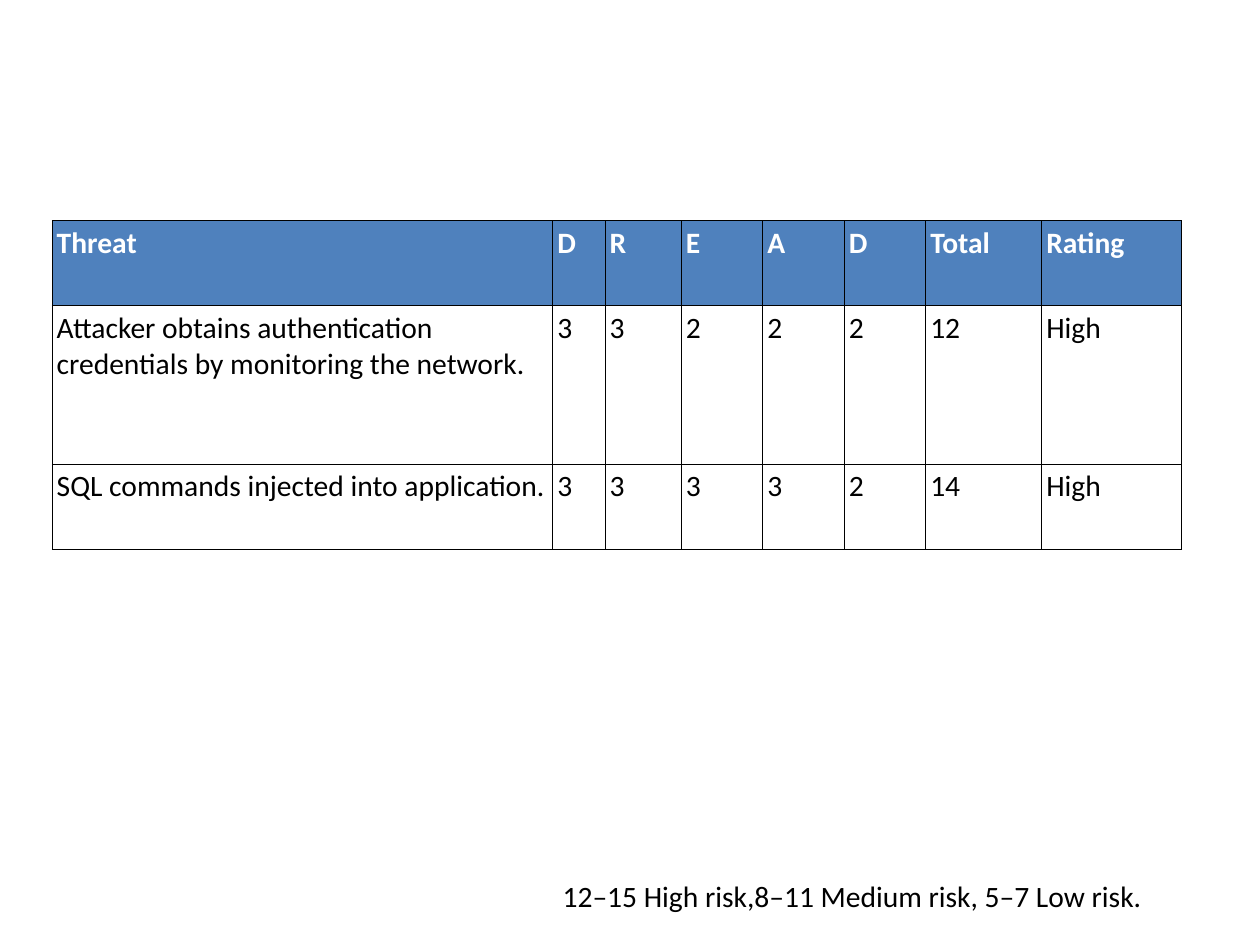
"""Build a slide with a threat rating table and its risk scale."""
from lxml.etree import SubElement
from pptx import Presentation
from pptx.dml.color import RGBColor
from pptx.oxml.ns import qn
from pptx.util import Inches, Pt

THEME = {
    "head": RGBColor.from_string("4F81BD"),
    "light": RGBColor.from_string("FFFFFF"),
    "ink": RGBColor.from_string("000000"),
    "font": {"name": "Calibri", "size": Pt(24)},
    "line": Pt(1),
}
COLS = [5.65, 0.59, 0.86, 0.92, 0.92, 0.92, 1.31, 1.58]
ROWS = [0.96, 1.79, 0.96]
DATA = [
    ["Threat", *"DREAD", "Total", "Rating"],
    ["Attacker obtains authentication credentials by monitoring the network.",
     *"33222", "12", "High"],
    ["SQL commands injected into application.", *"33332", "14", "High"],
]


def write(frame, text, color, bold=False):
    para = frame.paragraphs[0]
    run = para.add_run()
    run.text = text
    for key, value in {**THEME["font"], "bold": bold}.items():
        setattr(run.font, key, value)
    run.font.color.rgb = color


def border(cell):
    props = cell._tc.get_or_add_tcPr()
    for side in "LRTB":
        line = SubElement(props, qn(f"a:ln{side}"), w=str(THEME["line"]))
        fill = SubElement(line, qn("a:solidFill"))
        SubElement(fill, qn("a:srgbClr"), val=str(THEME["ink"]))


deck = Presentation()
deck.slide_width, deck.slide_height = Inches(14.22), Inches(10.67)
slide = deck.slides.add_slide(deck.slide_layouts[6])

table = slide.shapes.add_table(
    len(ROWS), len(COLS), Inches(0.59), Inches(2.49),
    Inches(sum(COLS)), Inches(sum(ROWS))).table
table.horz_banding = False
for col, width in zip(table.columns, COLS):
    col.width = Inches(width)
for row, height in zip(table.rows, ROWS):
    row.height = Inches(height)

sides = ["left", "right", "top", "bottom"]
for r, texts in enumerate(DATA):
    top = r == 0
    for c, text in enumerate(texts):
        cell = table.cell(r, c)
        for side in sides:
            setattr(cell, f"margin_{side}", Inches(0.05))
        border(cell)
        if top:
            cell.fill.solid()
            cell.fill.fore_color.rgb = THEME["head"]
        else:
            cell.fill.background()
        write(cell.text_frame, text, THEME["light" if top else "ink"], top)

scale = slide.shapes.add_textbox(
    Inches(6.28), Inches(9.84), Inches(7.7), Inches(0.53)).text_frame
scale.word_wrap = True
for side in sides:
    setattr(scale, f"margin_{side}", Inches(0.07))
write(scale, "12–15 High risk,8–11 Medium risk, 5–7 Low risk.", THEME["ink"])

deck.save("out.pptx")
